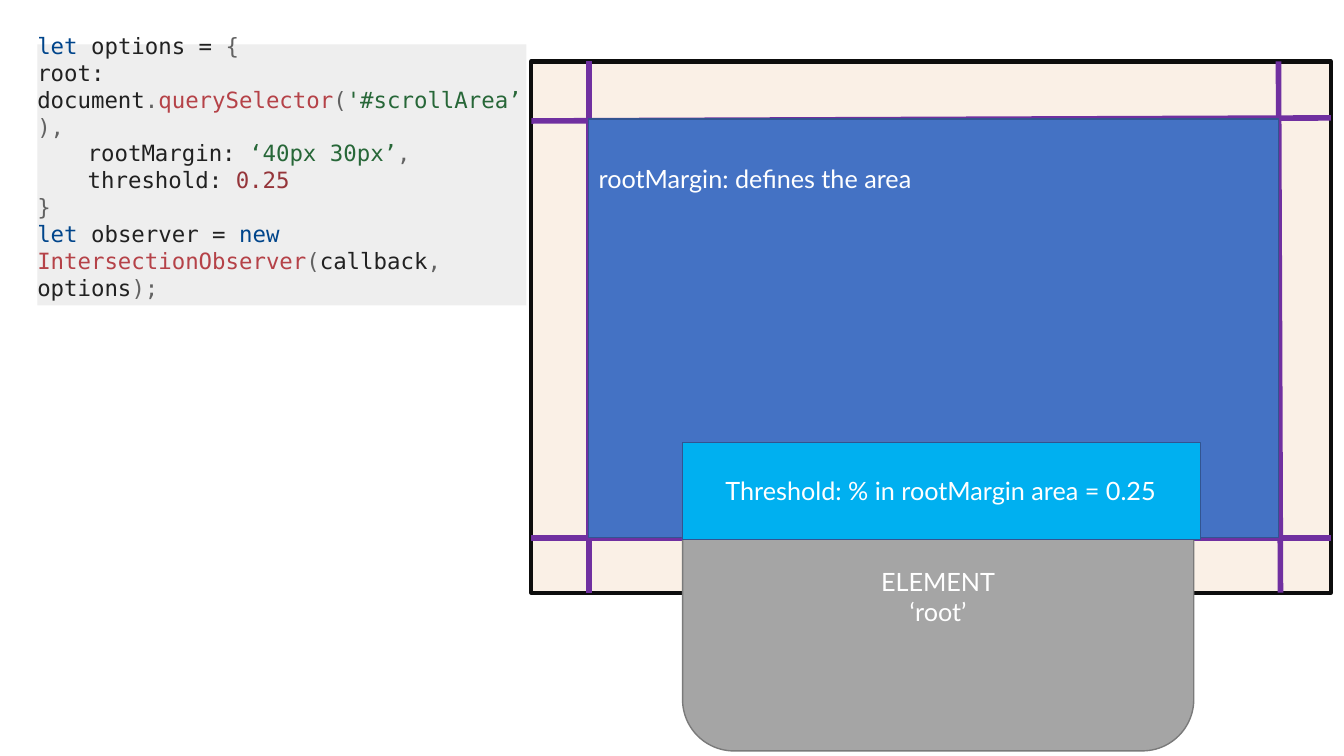
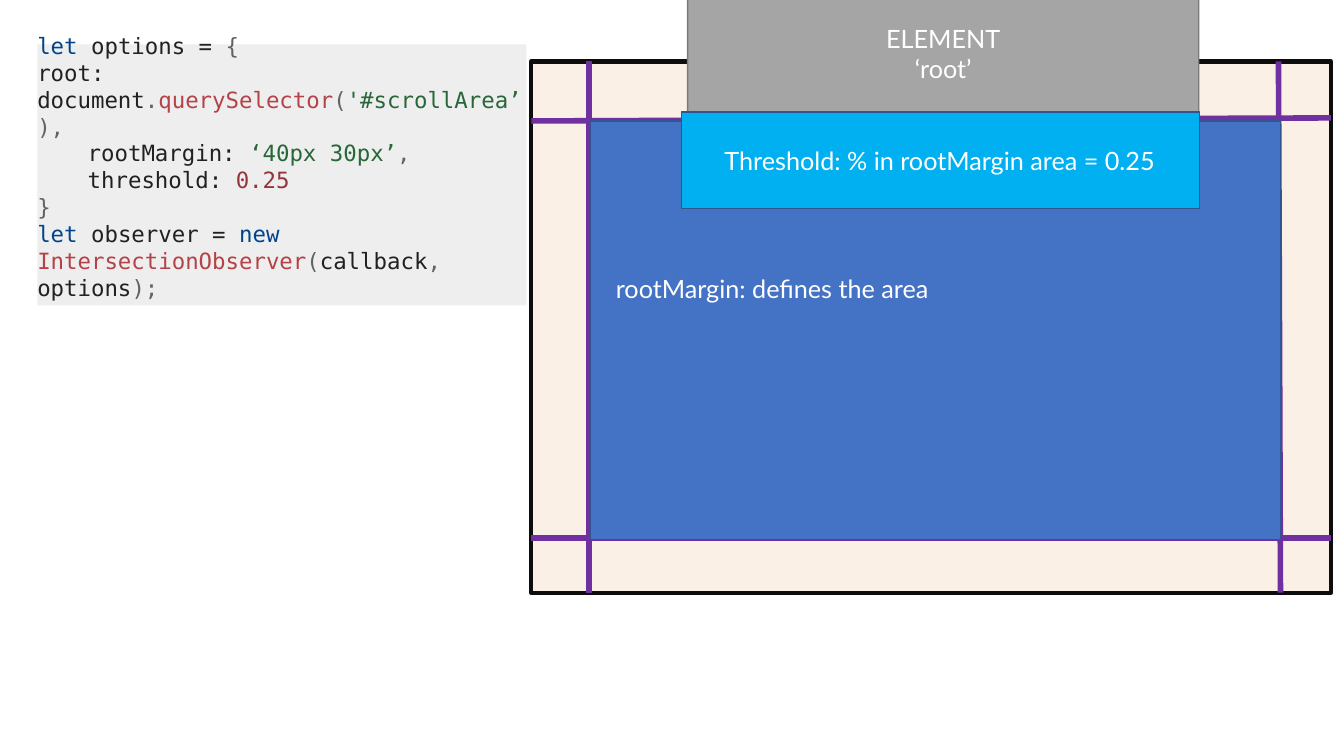
import pptx
import pptx.dml.color
import pptx.enum.shapes
import pptx.enum.text
import pptx.oxml.ns
import pptx.util
import lxml.etree

Inches = pptx.util.Inches
Pt = pptx.util.Pt
SHAPES = pptx.enum.shapes.MSO_SHAPE
ALIGN = pptx.enum.text.PP_ALIGN
ANCHOR = pptx.enum.text.MSO_ANCHOR
FIT = pptx.enum.text.MSO_AUTO_SIZE

COLORS = {
    "margin": "FAF0E6", "frame": "0D0D0D", "guide": "7030A0",
    "area": "4472C4", "area_line": "325491",
    "element": "A5A5A5", "element_line": "7A7A7A",
    "threshold": "00B0F0", "label": "FFFFFF", "code": "EEEEEE",
}
LABEL = {"name": "Lato", "size": Pt(18)}
CODE = {"name": "DejaVu Sans Mono", "size": Pt(16)}
CODE_END = {"name": "Calibri", "size": Pt(12)}
SYNTAX = {
    "keyword": "00458B", "plain": "212121", "mark": "626262",
    "call": "B54248", "string": "276738", "number": "95353A", "end": "000000",
}

# Each code line: indent in inches, then (syntax kind, text) pairs.
CODE_LINES = [
    (0, [("keyword", "let"), ("plain", " options = "), ("mark", "{ ")]),
    (0, [("plain", "root: document"), ("mark", "."), ("call", "querySelector"),
         ("mark", "("), ("string", "'#scrollArea’"), ("mark", "), ")]),
    (0.5, [("plain", "rootMargin: "), ("string", "‘40px 30px’"), ("mark", ", ")]),
    (0.5, [("plain", "threshold: "), ("number", "0.25")]),
    (0, [("mark", "} ")]),
    (0, [("keyword", "let"), ("plain", " observer = "), ("keyword", "new "),
         ("call", "IntersectionObserver"), ("mark", "("), ("plain", "callback"),
         ("mark", ","), ("plain", " options"), ("mark", ");"), ("end", " ")]),
]

CODE_BOX = (0.37, 0.44, 4.85, 2.59)
ROOT_BOX = (5.27, 0.61, 7.93, 5.27)
AREA_SIZE = (6.84, 4.15)
ELEMENT_SIZE = (5.07, 3.06)
THRESHOLD_SIZE = (5.14, 0.96)
AREA_LABEL_SIZE = (3.63, 0.4)

# Top left corners of the parts that move between the slides.
SCENES = [
    {"area": (5.84, 1.18), "element": (6.77, 4.39),
     "area_label": (5.84, 1.57), "threshold": (6.77, 4.39)},
    {"area": (5.86, 1.2), "element": (6.82, -1),
     "area_label": (6.01, 2.66), "threshold": (6.76, 1.11)},
]


def rgb(color):
    """Turn a hex string into a colour."""
    return pptx.dml.color.RGBColor.from_string(color)


def apply(target, values):
    """Set every attribute named in a dict."""
    for name, value in values.items():
        setattr(target, name, value)


def add_run(paragraph, text, font, color):
    """Append one run of formatted text."""
    run = paragraph.add_run()
    run.text = text
    apply(run.font, font)
    run.font.color.rgb = rgb(color)


def add_block(slide, kind, box, fill, line=None, width=1):
    """Add a filled shape, outlined if a line colour is given."""
    shape = slide.shapes.add_shape(kind, *map(Inches, box))
    shape.shadow.inherit = False
    shape.fill.solid()
    shape.fill.fore_color.rgb = rgb(fill)
    if line:
        shape.line.color.rgb = rgb(line)
        shape.line.width = Pt(width)
    else:
        shape.line.fill.background()
    return shape


def write_label(shape, lines, alignment):
    """Write white label lines, one paragraph each."""
    frame = shape.text_frame
    for index, text in enumerate(lines):
        paragraph = frame.add_paragraph() if index else frame.paragraphs[0]
        paragraph.alignment = alignment
        add_run(paragraph, text, LABEL, COLORS["label"])


def add_label(slide, box, text, alignment):
    """Add a text box holding one label."""
    shape = slide.shapes.add_textbox(*map(Inches, box))
    apply(shape.text_frame, {"word_wrap": True, "auto_size": FIT.SHAPE_TO_FIT_TEXT})
    write_label(shape, [text], alignment)


def add_guide(slide, start, end):
    """Add one straight guide line."""
    line = slide.shapes.add_connector(
        pptx.enum.shapes.MSO_CONNECTOR.STRAIGHT, *map(Inches, start + end))
    line.line.color.rgb = rgb(COLORS["guide"])
    line.line.width = Pt(4)
    properties = line._element.spPr
    lxml.etree.SubElement(properties, pptx.oxml.ns.qn("a:effectLst"))


def draw_root(slide, box):
    """Draw the root frame and the four guides of its margin."""
    left, top, width, height = box
    right, bottom = left + width, top + height
    add_block(slide, SHAPES.RECTANGLE, box, COLORS["margin"], COLORS["frame"], 3)
    add_guide(slide, (left, bottom - 0.54), (right, bottom - 0.54))
    add_guide(slide, (left + 0.57, bottom), (left + 0.57, top))
    add_guide(slide, (right - 0.5, bottom), (right - 0.52, top))
    add_guide(slide, (left, top + 0.59), (right, top + 0.56))


def draw_element(slide, box):
    """Draw the observed element with its name."""
    shape = add_block(slide, SHAPES.ROUNDED_RECTANGLE, box,
                      COLORS["element"], COLORS["element_line"])
    shape.text_frame.vertical_anchor = ANCHOR.MIDDLE
    write_label(shape, ["ELEMENT", "‘root’"], ALIGN.CENTER)


def draw_threshold(slide, box):
    """Draw the threshold band and its caption."""
    left, top, width, height = box
    add_block(slide, SHAPES.RECTANGLE, box, COLORS["threshold"], COLORS["area_line"])
    add_label(slide, (left + 0.02, top + 0.28, width - 0.06, 0.4),
              "Threshold: % in rootMargin area = 0.25", ALIGN.CENTER)


def draw_code(slide, box):
    """Draw the code panel with coloured syntax."""
    shape = add_block(slide, SHAPES.RECTANGLE, box, COLORS["code"])
    frame = shape.text_frame
    apply(frame, {
        "margin_left": 0, "margin_top": 0, "margin_right": 0,
        "margin_bottom": Inches(0.17), "word_wrap": True,
        "vertical_anchor": ANCHOR.MIDDLE, "auto_size": FIT.SHAPE_TO_FIT_TEXT,
    })
    for index, (indent, parts) in enumerate(CODE_LINES):
        paragraph = frame.add_paragraph() if index else frame.paragraphs[0]
        apply(paragraph, {"alignment": ALIGN.LEFT, "level": 1 if indent else 0})
        properties = paragraph._p.get_or_add_pPr()
        properties.set("marL", str(Inches(indent)))
        properties.set("indent", "0")
        for kind, text in parts:
            add_run(paragraph, text, CODE_END if kind == "end" else CODE, SYNTAX[kind])


def build_slide(presentation, scene):
    """Build one slide with the moving parts placed by the scene."""
    slide = presentation.slides.add_slide(presentation.slide_layouts[6])
    draw_root(slide, ROOT_BOX)
    add_block(slide, SHAPES.RECTANGLE, scene["area"] + AREA_SIZE,
              COLORS["area"], COLORS["area_line"])
    draw_element(slide, scene["element"] + ELEMENT_SIZE)
    add_label(slide, scene["area_label"] + AREA_LABEL_SIZE,
              "rootMargin: defines the area", ALIGN.LEFT)
    draw_threshold(slide, scene["threshold"] + THRESHOLD_SIZE)
    draw_code(slide, CODE_BOX)


presentation = pptx.Presentation()
apply(presentation, {"slide_width": Inches(13.33), "slide_height": Inches(7.5)})
for scene in SCENES:
    build_slide(presentation, scene)
presentation.save("out.pptx")
